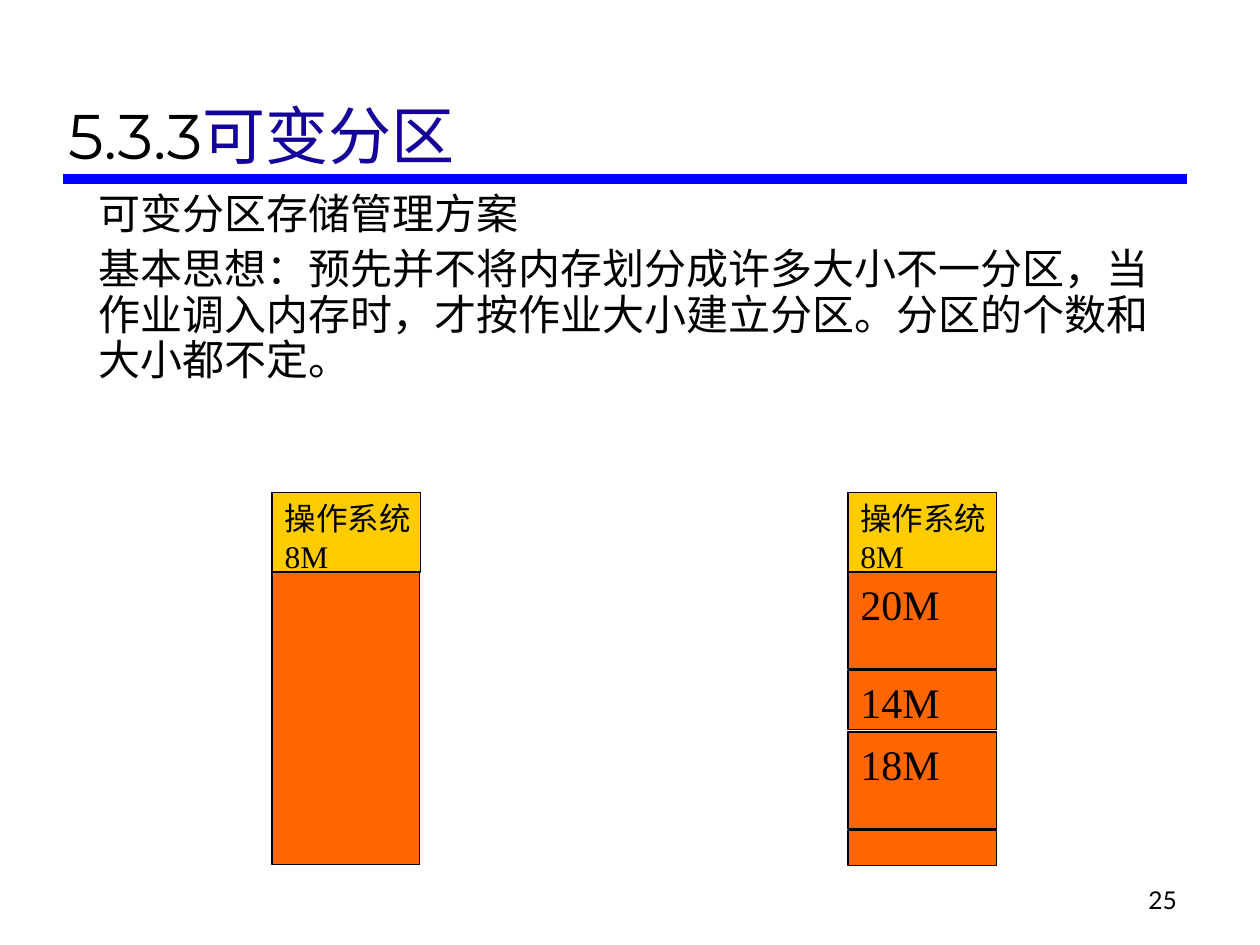
from typing import NamedTuple

from lxml import etree
from pptx import Presentation
from pptx.dml.color import RGBColor
from pptx.enum.shapes import MSO_CONNECTOR, MSO_SHAPE
from pptx.enum.text import MSO_ANCHOR, MSO_AUTO_SIZE, PP_ALIGN
from pptx.oxml.ns import qn
from pptx.util import Inches, Pt

LINE = MSO_CONNECTOR.STRAIGHT
RECT = MSO_SHAPE.RECTANGLE
TOP, BOTTOM = MSO_ANCHOR.TOP, MSO_ANCHOR.BOTTOM
LEFT, RIGHT = PP_ALIGN.LEFT, PP_ALIGN.RIGHT
NO_FIT = MSO_AUTO_SIZE.NONE

CJK, SERIF = "Noto Sans CJK SC", "Times New Roman"
BLACK, NAVY, BLUE = "000000", "130199", "0000FF"
ORANGE, YELLOW = "FF6600", "FFCC00"
BLOCK_W = 1.18
BEFORE_X, AFTER_X = 2.16, 6.73


class Block(NamedTuple):
    """One region of a memory column."""
    x: float
    y: float
    h: float
    lines: tuple[str, ...] = ()
    fill: str = ORANGE
    size: int = 24
    wrap: bool = True
    w: float = BLOCK_W


def system_block(x: float) -> Block:
    return Block(x, 3.91, 0.63, ("操作系统", "8M"), YELLOW, 18, wrap=False)


BLOCKS = [
    Block(AFTER_X, 4.54, 0.77, ("20M",)),
    Block(AFTER_X, 5.32, 0.47, ("14M",)),
    Block(AFTER_X, 5.81, 0.77, ("18M",)),
    system_block(AFTER_X),
    Block(BEFORE_X, 4.54, 2.32, w=1.17),
    system_block(BEFORE_X),
    Block(AFTER_X, 6.59, 0.28),
]

BODY = [
    "可变分区存储管理方案",
    "基本思想：预先并不将内存划分成许多大小不一分区，当作业调入内存时，"
    "才按作业大小建立分区。分区的个数和大小都不定。",
]


def rgb(color: str) -> RGBColor:
    return RGBColor.from_string(color)


def add_run(p, text: str, size: int, font: str, color: str = BLACK) -> None:
    r = p.add_run()
    r.text = text
    r.font.size = Pt(size)
    r.font.name = font
    r.font.color.rgb = rgb(color)
    etree.SubElement(r.font._element, qn("a:ea")).set("typeface", CJK)


def place(sp, x: float, y: float, w: float, h: float) -> None:
    sp.left, sp.top, sp.width, sp.height = map(Inches, (x, y, w, h))


def paragraph(tf, index: int):
    """Return the first paragraph for index 0, otherwise a new one."""
    return tf.add_paragraph() if index else tf.paragraphs[0]


def setup_frame(tf, anchor, wrap: bool = True) -> None:
    tf.auto_size = NO_FIT
    tf.word_wrap = wrap
    tf.vertical_anchor = anchor


def draw_rule(s) -> None:
    y = Inches(1.42)
    rule = s.shapes.add_connector(LINE, Inches(0.5), y, Inches(9.42), y)
    rule.line.color.rgb = rgb(BLUE)
    rule.line.width = Pt(6)
    etree.SubElement(rule._element.spPr, qn("a:effectLst"))


def draw_number(s) -> None:
    sp = s.shapes.add_textbox(*map(Inches, (7.36, 6.81, 2.08, 0.5)))
    setup_frame(sp.text_frame, BOTTOM)
    p = sp.text_frame.paragraphs[0]
    p.alignment = RIGHT
    add_run(p, "25", 14, "Lato")


def fill_title(sp) -> None:
    place(sp, 0.44, 0.17, 8.97, 1.25)
    setup_frame(sp.text_frame, BOTTOM)
    p = sp.text_frame.paragraphs[0]
    p.alignment = LEFT
    add_run(p, "5.3.3", 36, "Montserrat")
    add_run(p, "可变分区", 36, "Montserrat", NAVY)


def fill_body(sp) -> None:
    place(sp, 0.68, 1.48, 8.8, 1.88)
    tf = sp.text_frame
    setup_frame(tf, TOP)
    for i, text in enumerate(BODY):
        p = paragraph(tf, i)
        pPr = p._p.get_or_add_pPr()
        pPr.set("marL", "0")
        pPr.set("indent", "0")
        etree.SubElement(pPr, qn("a:buNone"))
        p.line_spacing = 0.9
        p.space_before = Pt(6 if i else 0)
        add_run(p, text, 24, CJK)


def draw_block(s, block: Block) -> None:
    sp = s.shapes.add_shape(
        RECT, *map(Inches, (block.x, block.y, block.w, block.h)))
    sp.shadow.inherit = False
    sp.fill.solid()
    sp.fill.fore_color.rgb = rgb(block.fill)
    sp.line.color.rgb = rgb(BLACK)
    sp.line.width = Pt(0.75)
    tf = sp.text_frame
    setup_frame(tf, TOP, block.wrap)
    for i, text in enumerate(block.lines):
        p = paragraph(tf, i)
        p.alignment = LEFT
        add_run(p, text, block.size, SERIF)


def main() -> None:
    prs = Presentation()
    prs.slide_width, prs.slide_height = Inches(10), Inches(7.5)
    s = prs.slides.add_slide(prs.slide_layouts[1])
    draw_rule(s)
    draw_number(s)
    fill_title(s.shapes.title)
    fill_body(s.placeholders[1])
    for block in BLOCKS:
        draw_block(s, block)
    prs.save("out.pptx")


if __name__ == "__main__":
    main()
